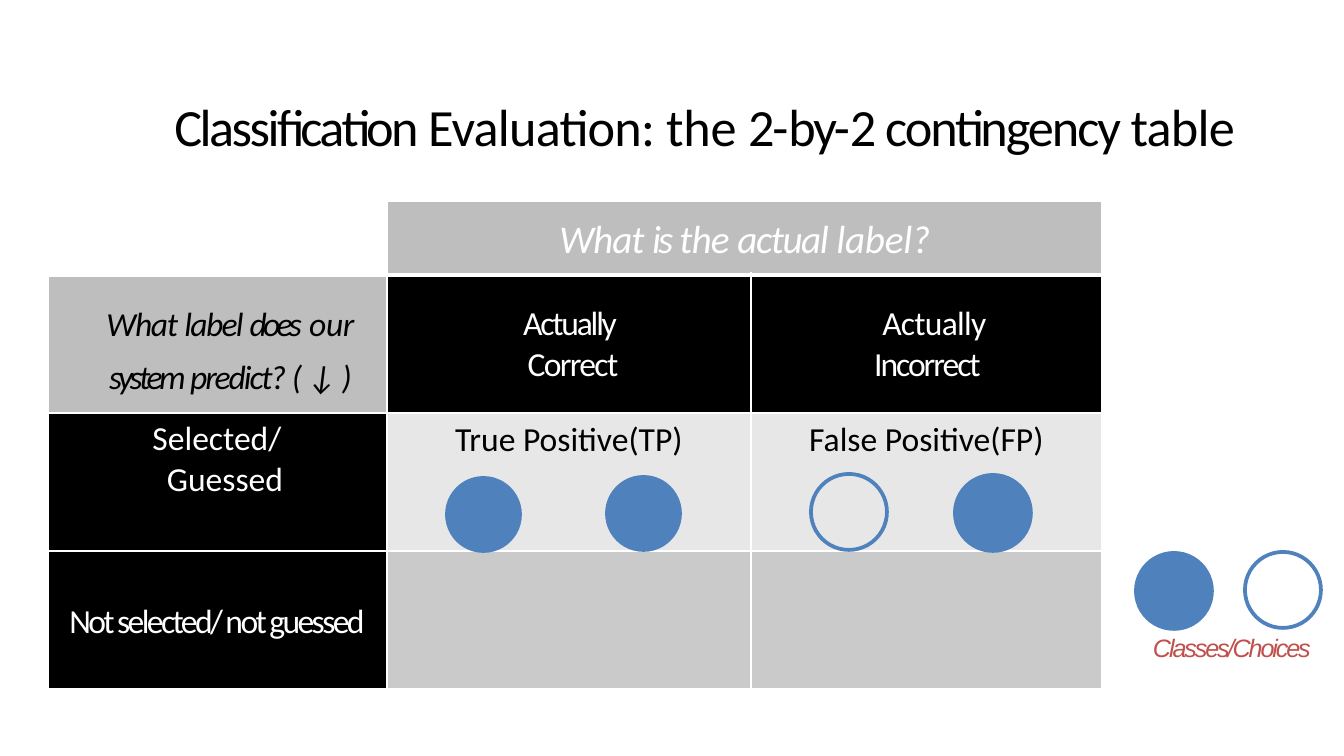
from lxml import etree
from pptx import Presentation
from pptx.dml.color import RGBColor
from pptx.enum.shapes import MSO_SHAPE
from pptx.enum.text import MSO_ANCHOR, MSO_AUTO_SIZE, PP_ALIGN
from pptx.oxml.ns import qn
from pptx.util import Pt

OVAL = MSO_SHAPE.OVAL
TOP, MIDDLE = MSO_ANCHOR.TOP, MSO_ANCHOR.MIDDLE
CENTER, LEFT = PP_ALIGN.CENTER, PP_ALIGN.LEFT
NO_FIT = MSO_AUTO_SIZE.NONE
BLACK = RGBColor(0x00, 0x00, 0x00)
WHITE = RGBColor(0xFF, 0xFF, 0xFF)
GRAY = RGBColor(0xBE, 0xBE, 0xBE)
PALE = RGBColor(0xE7, 0xE7, 0xE7)
SILVER = RGBColor(0xCA, 0xCA, 0xCA)
BLUE = RGBColor(0x4F, 0x81, 0xBC)
RED = RGBColor(0xC0, 0x50, 0x4D)


def px(pixels):
    return round(pixels * 914400 / 134.4)


def write(para, runs, size, color, italic=False, font="Calibri", align=CENTER,
          indents=(0, 0, 0), spacing=None, before=0):
    para.alignment = align
    para.space_before = Pt(before)
    if spacing:
        para.line_spacing = spacing
    properties = para._p.get_or_add_pPr()
    for name, pixels in zip(("marL", "indent", "marR"), indents):
        properties.set(name, str(px(pixels)))
    for text, tracking in runs:
        span = para.add_run()
        span.text = text
        span.font.name = font
        span.font.size = Pt(size)
        span.font.italic = italic
        span.font.color.rgb = color
        span._r.get_or_add_rPr().set("spc", str(round(tracking * 100)))


deck = Presentation()
deck.slide_width, deck.slide_height = px(1344), px(756)
page = deck.slides.add_slide(deck.slide_layouts[5])

title = page.shapes.title
title.left, title.top, title.width, title.height = px(112), px(93), px(1140), px(63)
frame = title.text_frame
frame.auto_size = NO_FIT
frame.word_wrap = True
frame.vertical_anchor = MIDDLE
frame.margin_left = frame.margin_right = frame.margin_bottom = 0
frame.margin_top = px(2)
write(frame.paragraphs[0],
      [("Classification ", -1.3), ("Evaluation: ", -0.4), ("the ", -0.1), ("2-", -1.2),
       ("by-", -1.1), ("2 ", -1.5), ("contingency ", -1.1), ("table", -0.4)],
      28, BLACK, indents=(1, 44, 0), spacing=1.01, before=0.5)

widths, heights = (339, 364, 351), (74, 138, 138, 138)
table = page.shapes.add_table(4, 3, px(48), px(201), px(sum(widths)), px(sum(heights))).table
table.first_row = table.horz_banding = False
for column, width in zip(table.columns, widths):
    column.width = px(width)
for row, height in zip(table.rows, heights):
    row.height = px(height)

fills = [
    [None, GRAY, GRAY],
    [GRAY, BLACK, BLACK],
    [BLACK, PALE, PALE],
    [BLACK, SILVER, SILVER],
]
for r, row_fills in enumerate(fills):
    for c, color in enumerate(row_fills):
        cell = table.cell(r, c)
        properties = cell._tc.get_or_add_tcPr()
        for side in ("lnL", "lnR", "lnT", "lnB"):
            thick = (r, side) in ((0, "lnB"), (1, "lnT"))
            border = etree.SubElement(properties, qn("a:" + side), w=str(Pt(3 if thick else 1)))
            solid = etree.SubElement(border, qn("a:solidFill"))
            etree.SubElement(solid, qn("a:srgbClr"), val=str(WHITE))
        if color is None:
            cell.fill.background()
        else:
            cell.fill.solid()
            cell.fill.fore_color.rgb = color
table.cell(0, 1).merge(table.cell(0, 2))

labels = [
    (0, 1, MIDDLE, 4, [[("What ", -0.6), ("is ", -1.6), ("the ", -0.5), ("actual ", -0.8),
                        ("label?", -0.1)]],
     dict(size=21, color=WHITE, italic=True, indents=(1, 0, 0), before=2.5)),
    (1, 0, MIDDLE, 3, [[("What ", -0.7), ("label ", -0.9), ("does", -2), (" our", -0.2)],
                       [("system ", -1.8), ("predict? ", -1.1), ("(↓)", 2.5)]],
     dict(size=18, color=BLACK, italic=True, indents=(26, 0, 0), spacing=Pt(28.6))),
    (1, 1, MIDDLE, 1, [[("Actually ", -1.2), ("Correct", -0.9)]],
     dict(size=18, color=WHITE, indents=(124, -8, 116), spacing=1.01, before=1.2)),
    (1, 2, MIDDLE, 1, [[("Actually ", -0.4), ("Incorrect", -1.1)]],
     dict(size=18, color=WHITE, indents=(94, 13, 92), spacing=1.01, before=1.2)),
    (2, 0, TOP, 5, [[("Selected/ Guessed", 0)]],
     dict(size=18, color=WHITE, indents=(90, -16, 75), spacing=1.01, before=1.4)),
    (2, 1, TOP, 7, [[("True Positive(TP)", 0)]], dict(size=18, color=BLACK)),
    (2, 2, TOP, 7, [[("False Positive(FP)", 0)]], dict(size=18, color=BLACK)),
    (3, 0, MIDDLE, 3, [[("Not selected/ not guessed", -1.4)]],
     dict(size=18, color=WHITE, indents=(40, -21, 20), spacing=1.01, before=1.6)),
]
for r, c, anchor, top, lines, style in labels:
    cell = table.cell(r, c)
    cell.vertical_anchor = anchor
    cell.margin_left = cell.margin_right = cell.margin_bottom = 0
    cell.margin_top = px(top)
    for i, runs in enumerate(lines):
        para = cell.text_frame.add_paragraph() if i else cell.text_frame.paragraphs[0]
        write(para, runs, **style)

circles = [
    (1136, 553, 76, True), (1245, 552, 76, False),
    (447, 478, 73, True), (607, 477, 73, True),
    (955, 475, 76, True), (811, 474, 76, False),
]
for left, top, size, filled in circles:
    circle = page.shapes.add_shape(OVAL, px(left), px(top), px(size), px(size))
    circle.shadow.inherit = False
    circle.line.color.rgb = BLUE
    circle.line.width = Pt(2)
    if filled:
        circle.fill.solid()
        circle.fill.fore_color.rgb = BLUE
    else:
        circle.fill.background()

caption = page.shapes.add_textbox(px(1152), px(637), px(161), px(27))
frame = caption.text_frame
frame.word_wrap = True
frame.margin_left = frame.margin_right = frame.margin_top = frame.margin_bottom = 0
write(frame.paragraphs[0], [("Classes/Choices", -1.1)], 13.5, RED, italic=True, font="Arial",
      align=LEFT, indents=(1, 0, 0), spacing=Pt(13.6))

deck.save("out.pptx")
